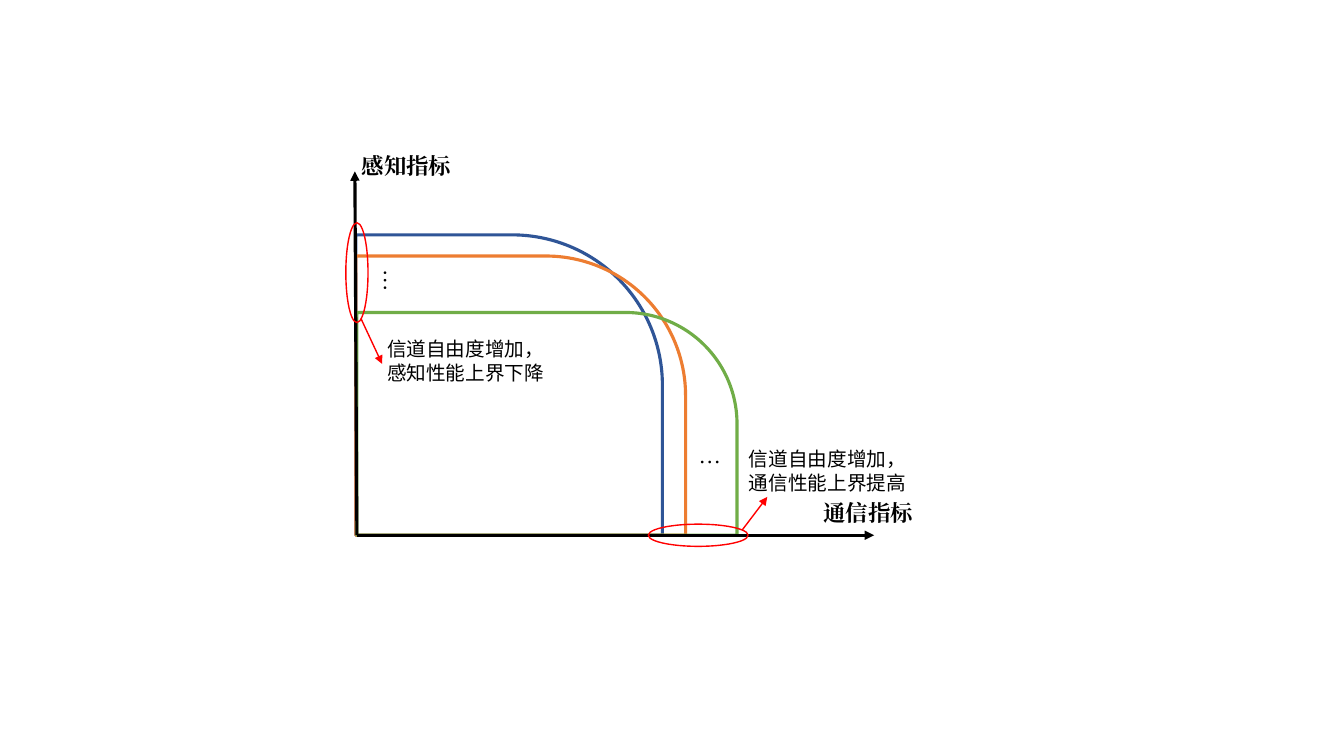
from lxml import etree
from pptx import Presentation
from pptx.dml.color import RGBColor
from pptx.enum import shapes, text
from pptx.oxml import ns
from pptx.util import Inches, Pt

SERIF = "Times New Roman"
SANS = "Noto Sans CJK SC"
BLACK = "000000"
RED = "FF0000"


def color(hex_string):
    """Turn a hex string into a colour."""
    return RGBColor.from_string(hex_string)


def add_outline(slide, preset, box, line_color, width):
    """Add an unfilled preset shape with a coloured outline."""
    shape = slide.shapes.add_shape(preset, *map(Inches, box))
    shape.shadow.inherit = False
    shape.fill.background()
    shape.line.color.rgb = color(line_color)
    shape.line.width = Pt(width)
    return shape


def add_arrow(slide, start, end, line_color, width):
    """Add a straight arrow with a triangular head at its end."""
    points = map(Inches, (*start, *end))
    arrow = slide.shapes.add_connector(shapes.MSO_CONNECTOR.STRAIGHT, *points)
    arrow.line.color.rgb = color(line_color)
    arrow.line.width = Pt(width)
    line = arrow.line._get_or_add_ln()
    etree.SubElement(line, ns.qn("a:tailEnd"), type="triangle")
    etree.SubElement(arrow._element.spPr, ns.qn("a:effectLst"))


def add_label(slide, box, wording, size, font, bold=False, spacing=None, rotation=0):
    """Add a text box with one paragraph for each line of wording."""
    label = slide.shapes.add_textbox(*map(Inches, box))
    label.rotation = rotation
    frame = label.text_frame
    frame.word_wrap = True
    frame.auto_size = text.MSO_AUTO_SIZE.SHAPE_TO_FIT_TEXT
    frame.text = wording
    for paragraph in frame.paragraphs:
        paragraph.line_spacing = spacing
        for run in paragraph.runs:
            run.font.size = Pt(size)
            run.font.bold = bold
            run.font.name = font
            run.font.color.rgb = color(BLACK)
            east_asian = etree.SubElement(run.font._element, ns.qn("a:ea"))
            east_asian.set("typeface", font)


def add_curve(slide, left, top, right, line_color):
    """Add a performance boundary that stands on the horizontal axis."""
    box = (left, top, right - left, 5.31 - top)
    curve = add_outline(slide, shapes.MSO_SHAPE.ROUND_1_RECTANGLE, box, line_color, 2.25)
    curve.adjustments[0] = 0.5


def main():
    """Build the slide and save it."""
    presentation = Presentation()
    presentation.slide_width = Inches(13.33)
    presentation.slide_height = Inches(7.5)
    slide = presentation.slides.add_slide(presentation.slide_layouts[6])

    add_curve(slide, 3.53, 2.33, 6.57, "2F5597")
    add_curve(slide, 3.53, 2.54, 6.8, "ED7D31")
    add_curve(slide, 3.54, 3.1, 7.31, "70AD47")

    origin = (3.54, 5.31)
    for axis_end in ((8.67, 5.31), (3.52, 1.7)):
        add_arrow(slide, origin, axis_end, BLACK, 2.25)
    add_label(slide, (8.07, 4.9, 1.74, 0.34), "通信指标", 16, SERIF, bold=True)
    add_label(slide, (3.49, 1.46, 1.67, 0.34), "感知指标", 16, SERIF, bold=True)

    add_arrow(slide, (7.36, 5.26), (7.61, 4.93), RED, 1)
    add_arrow(slide, (3.58, 3.16), (3.79, 3.61), RED, 1)
    for box in ((3.43, 2.21, 0.22, 0.99), (6.43, 5.2, 0.99, 0.22)):
        add_outline(slide, shapes.MSO_SHAPE.OVAL, box, RED, 1)

    add_label(slide, (3.59, 2.74, 0.65, 0.33), "…", 16, SERIF, rotation=90)
    add_label(slide, (6.83, 4.33, 0.59, 0.34), "…", 16, SERIF)
    for left, top, effect in ((3.74, 3.29, "感知性能上界下降"), (7.33, 4.38, "通信性能上界提高")):
        wording = f"信道自由度增加，\n{effect}"
        add_label(slide, (left, top, 2.05, 0.57), wording, 14, SANS, spacing=Pt(17))

    presentation.save("out.pptx")


if __name__ == "__main__":
    main()
